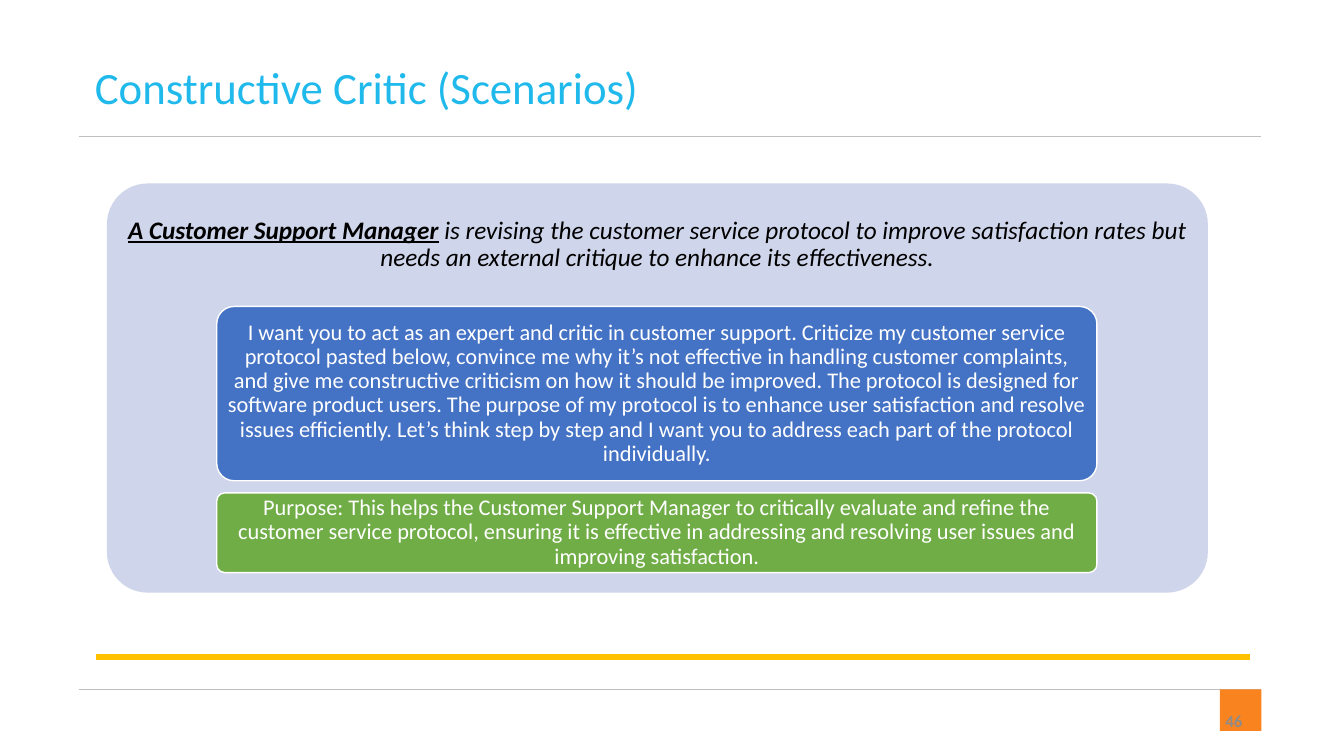
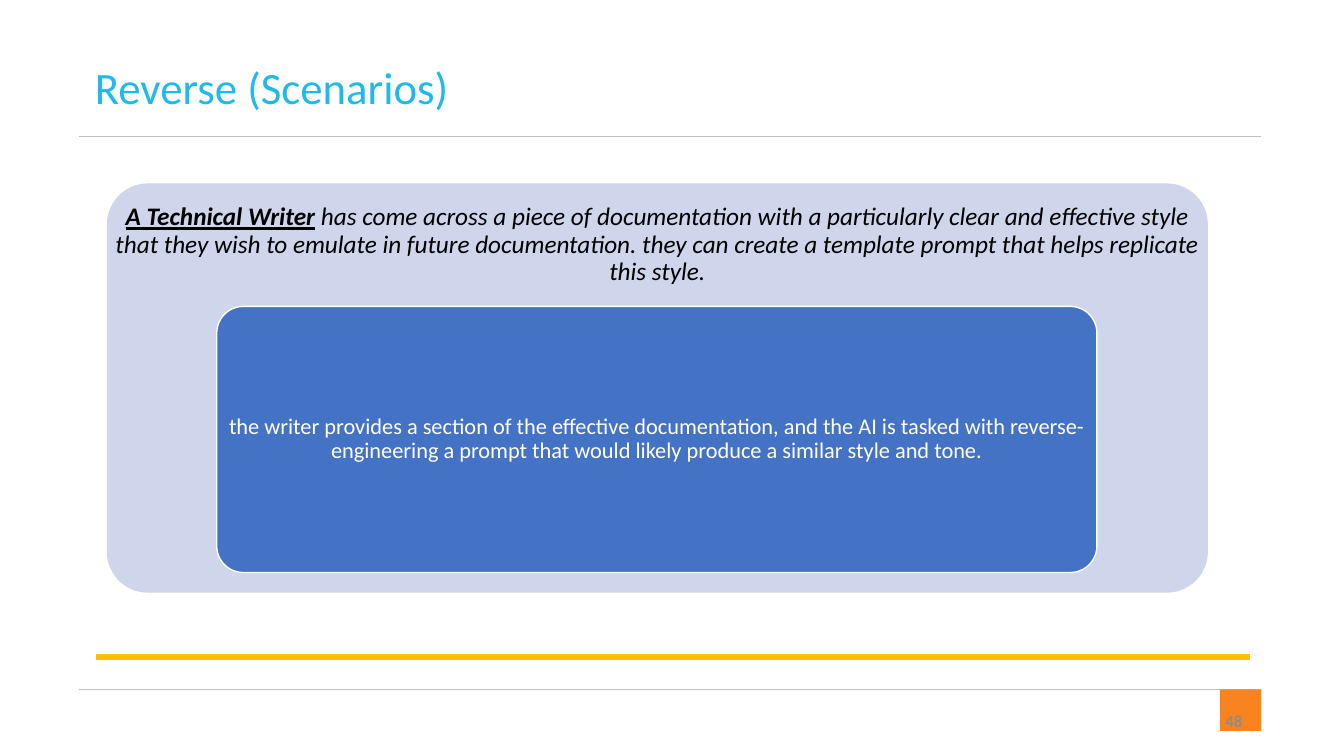
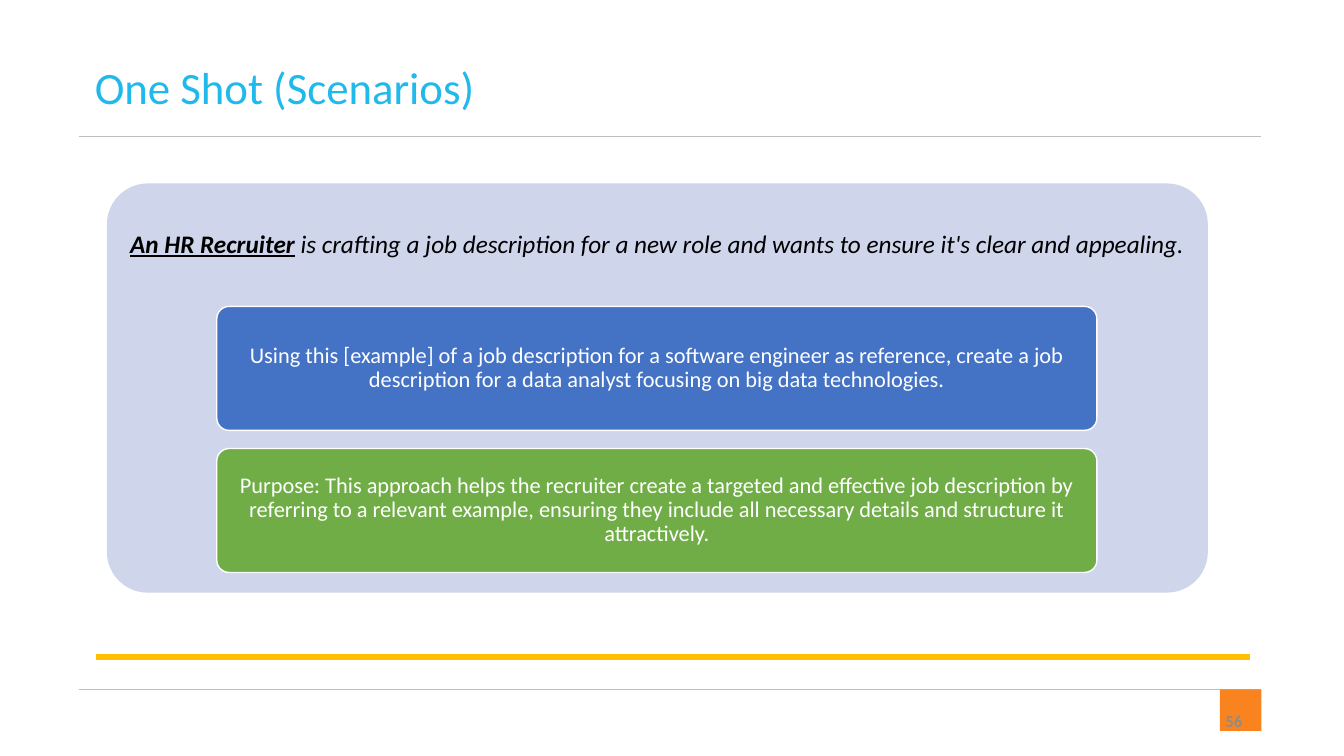
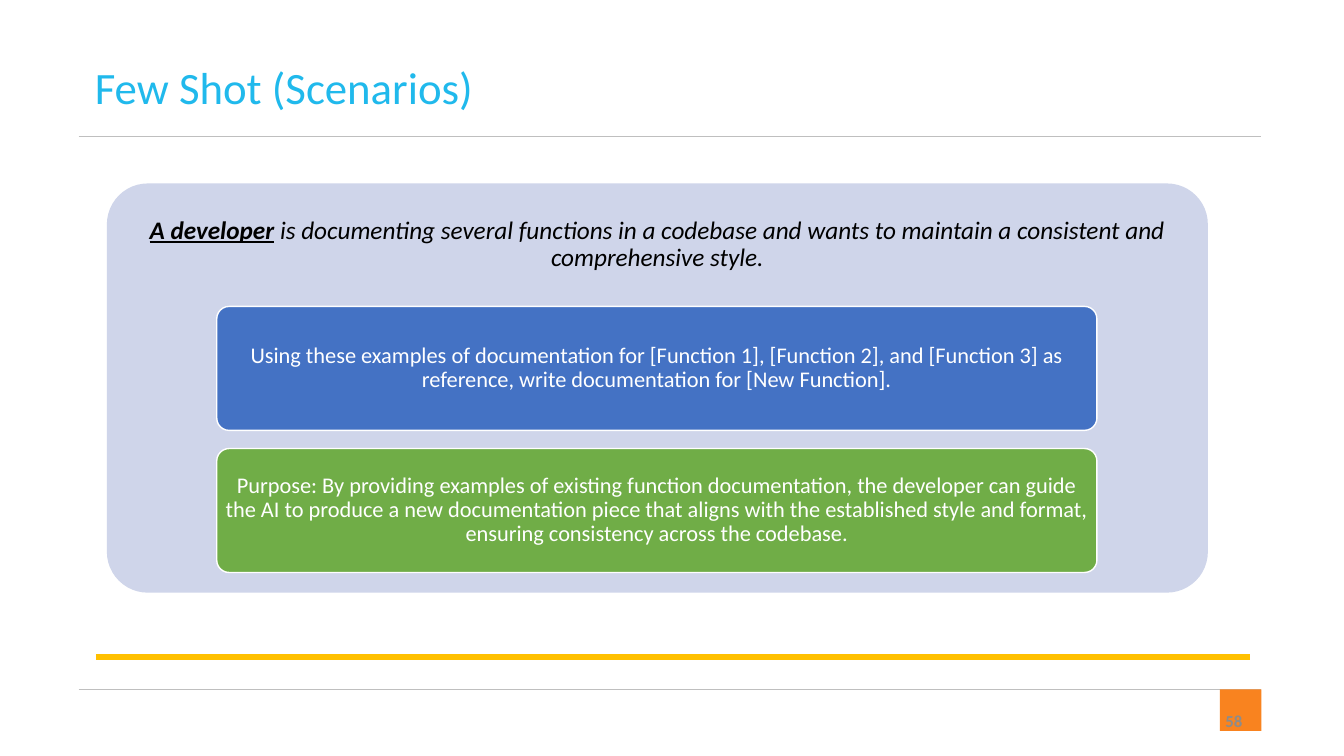
from dataclasses import dataclass

from lxml.etree import SubElement
from pptx import Presentation
from pptx.dml.color import RGBColor
from pptx.enum.shapes import MSO_CONNECTOR, MSO_SHAPE
from pptx.enum.text import MSO_ANCHOR, MSO_AUTO_SIZE, PP_ALIGN
from pptx.oxml.ns import qn
from pptx.shapes.autoshape import Shape
from pptx.slide import Slide
from pptx.util import Inches, Pt


@dataclass(frozen=True)
class Theme:
    """Colours, font and type sizes of the deck."""

    font: str = "Calibri"
    title: str = "20B9EC"
    rule: str = "BFBFBF"
    accent: str = "FFC000"
    marker: str = "F9831F"
    number: str = "8C8C8C"
    panel: str = "CFD5EA"
    cards: tuple[str, ...] = ("4472C4", "70AD47")
    white: str = "FFFFFF"
    black: str = "000000"
    title_size: float = 32
    lead_size: float = 18
    card_size: float = 16
    number_size: float = 12


@dataclass(frozen=True)
class Box:
    """A rectangle in inches."""

    left: float
    top: float
    width: float
    height: float

    def lengths(self) -> tuple[Inches, Inches, Inches, Inches]:
        """Return the four lengths that a shape takes."""
        return Inches(self.left), Inches(self.top), Inches(self.width), Inches(self.height)


@dataclass(frozen=True)
class Rule:
    """A horizontal line."""

    left: float
    right: float
    top: float
    color: str
    weight: float


@dataclass(frozen=True)
class Card:
    """One rounded card and its height in inches."""

    text: str
    height: float


@dataclass(frozen=True)
class Scenario:
    """The content of one slide."""

    number: int
    title: str
    role: str
    situation: str
    cards: tuple[Card, ...]


THEME = Theme()
TITLE_BOX = Box(0.84, 0.54, 11.97, 0.64)
NUMBER_BOX = Box(9.42, 6.95, 3, 0.4)
MARKER_BOX = Box(12.1, 6.84, 0.41, 0.41)
PANEL_BOX = Box(1.06, 1.82, 10.92, 4.06)
LEAD_BOX = Box(1.06, 1.82, 10.92, 1.22)
CARD_AREA = Box(2.15, 3.04, 8.73, 2.64)
CORNER = 0.1
RULES = (
    Rule(0.78, 12.51, 6.84, THEME.rule, 0.5),
    Rule(0.78, 12.51, 1.35, THEME.rule, 0.5),
    Rule(0.95, 12.4, 6.52, THEME.accent, 4.5),
)

SCENARIOS = (
    Scenario(
        46,
        "Constructive Critic (Scenarios)",
        "A Customer Support Manager",
        " is revising the customer service protocol to improve satisfaction rates but needs "
        "an external critique to enhance its effectiveness.",
        (
            Card(
                "I want you to act as an expert and critic in customer support. Criticize my "
                "customer service protocol pasted below, convince me why it’s not effective in "
                "handling customer complaints, and give me constructive criticism on how it "
                "should be improved. The protocol is designed for software product users. The "
                "purpose of my protocol is to enhance user satisfaction and resolve issues "
                "efficiently. Let’s think step by step and I want you to address each part of "
                "the protocol individually.",
                1.73,
            ),
            Card(
                "Purpose: This helps the Customer Support Manager to critically evaluate and "
                "refine the customer service protocol, ensuring it is effective in addressing "
                "and resolving user issues and improving satisfaction.",
                0.79,
            ),
        ),
    ),
    Scenario(
        48,
        "Reverse (Scenarios)",
        "A Technical Writer",
        " has come across a piece of documentation with a particularly clear and effective "
        "style that they wish to emulate in future documentation. they can create a template "
        "prompt that helps replicate this style.",
        (
            Card(
                "the writer provides a section of the effective documentation, and the AI is "
                "tasked with reverse-engineering a prompt that would likely produce a similar "
                "style and tone.",
                2.64,
            ),
        ),
    ),
    Scenario(
        56,
        "One Shot (Scenarios)",
        "An HR Recruiter",
        " is crafting a job description for a new role and wants to ensure it's clear and "
        "appealing.",
        (
            Card(
                "Using this [example] of a job description for a software engineer as "
                "reference, create a job description for a data analyst focusing on big data "
                "technologies.",
                1.23,
            ),
            Card(
                "Purpose: This approach helps the recruiter create a targeted and effective job "
                "description by referring to a relevant example, ensuring they include all "
                "necessary details and structure it attractively.",
                1.23,
            ),
        ),
    ),
    Scenario(
        58,
        "Few Shot (Scenarios)",
        "A developer",
        " is documenting several functions in a codebase and wants to maintain a consistent "
        "and comprehensive style.",
        (
            Card(
                "Using these examples of documentation for [Function 1], [Function 2], and "
                "[Function 3] as reference, write documentation for [New Function].",
                1.23,
            ),
            Card(
                "Purpose: By providing examples of existing function documentation, the "
                "developer can guide the AI to produce a new documentation piece that aligns "
                "with the established style and format, ensuring consistency across the "
                "codebase.",
                1.23,
            ),
        ),
    ),
)


def write_text(
    shape: Shape,
    text: str,
    *,
    size: float,
    color: str,
    lead: str = "",
    bold: bool = False,
    italic: bool = False,
    align: PP_ALIGN = PP_ALIGN.CENTER,
    anchor: MSO_ANCHOR = MSO_ANCHOR.MIDDLE,
    line_spacing: float = 1.0,
    insets: tuple[float, float] = (0.1, 0.05),
) -> None:
    """Write one paragraph, opened by an optional bold underlined lead."""
    frame = shape.text_frame
    frame.word_wrap = True
    frame.vertical_anchor = anchor
    frame.margin_left = frame.margin_right = Inches(insets[0])
    frame.margin_top = frame.margin_bottom = Inches(insets[1])
    paragraph = frame.paragraphs[0]
    paragraph.alignment = align
    paragraph.line_spacing = line_spacing
    for content, is_lead in ((lead, True), (text, False)):
        if content:
            run = paragraph.add_run()
            run.text = content
            run.font.name = THEME.font
            run.font.size = Pt(size)
            run.font.color.rgb = RGBColor.from_string(color)
            run.font.bold = bold or is_lead
            run.font.italic = italic
            run.font.underline = is_lead


def add_block(
    slide: Slide, kind: MSO_SHAPE, box: Box, fill: str, outline: str | None = None
) -> Shape:
    """Add a filled shape without shadow, rounded where its kind allows."""
    shape = slide.shapes.add_shape(kind, *box.lengths())
    shape.shadow.inherit = False
    shape.fill.solid()
    shape.fill.fore_color.rgb = RGBColor.from_string(fill)
    if kind == MSO_SHAPE.ROUNDED_RECTANGLE:
        shape.adjustments[0] = CORNER
    if outline:
        shape.line.color.rgb = RGBColor.from_string(outline)
        shape.line.width = Pt(1)
    else:
        shape.line.fill.background()
    return shape


def add_rule(slide: Slide, rule: Rule) -> None:
    """Draw a horizontal line without shadow."""
    top = Inches(rule.top)
    connector = slide.shapes.add_connector(
        MSO_CONNECTOR.STRAIGHT, Inches(rule.left), top, Inches(rule.right), top
    )
    connector.line.color.rgb = RGBColor.from_string(rule.color)
    connector.line.width = Pt(rule.weight)
    SubElement(connector.element.spPr, qn("a:effectLst"))


def add_frame(slide: Slide, title: str, number: int) -> None:
    """Add the title, rules, marker and number that every slide carries."""
    for rule in RULES:
        add_rule(slide, rule)
    add_block(slide, MSO_SHAPE.RECTANGLE, MARKER_BOX, THEME.marker)
    write_text(
        slide.shapes.add_textbox(*NUMBER_BOX.lengths()),
        str(number),
        size=THEME.number_size,
        color=THEME.number,
        bold=True,
        align=PP_ALIGN.RIGHT,
    )
    heading = slide.shapes.title
    heading.left, heading.top, heading.width, heading.height = TITLE_BOX.lengths()
    heading.text_frame.auto_size = MSO_AUTO_SIZE.SHAPE_TO_FIT_TEXT
    write_text(
        heading,
        title,
        size=THEME.title_size,
        color=THEME.title,
        align=PP_ALIGN.LEFT,
        anchor=MSO_ANCHOR.TOP,
    )


def add_cards(slide: Slide, cards: tuple[Card, ...]) -> None:
    """Stack the cards so that equal gaps fill the card area."""
    spare = CARD_AREA.height - sum(card.height for card in cards)
    gap = spare / max(len(cards) - 1, 1)
    top = CARD_AREA.top
    for card, fill in zip(cards, THEME.cards):
        box = Box(CARD_AREA.left, top, CARD_AREA.width, card.height)
        shape = add_block(slide, MSO_SHAPE.ROUNDED_RECTANGLE, box, fill, THEME.white)
        write_text(
            shape,
            card.text,
            size=THEME.card_size,
            color=THEME.white,
            line_spacing=0.9,
            insets=(0.04, 0.03),
        )
        top += card.height + gap


def add_scenario(slide: Slide, scenario: Scenario) -> None:
    """Build one scenario slide."""
    add_frame(slide, scenario.title, scenario.number)
    add_block(slide, MSO_SHAPE.ROUNDED_RECTANGLE, PANEL_BOX, THEME.panel)
    write_text(
        slide.shapes.add_textbox(*LEAD_BOX.lengths()),
        scenario.situation,
        lead=scenario.role,
        size=THEME.lead_size,
        color=THEME.black,
        italic=True,
        line_spacing=0.9,
        insets=(0.07, 0.07),
    )
    add_cards(slide, scenario.cards)


def main() -> None:
    """Build and save the presentation."""
    presentation = Presentation()
    presentation.slide_width = Inches(13.33)
    presentation.slide_height = Inches(7.5)
    title_only = presentation.slide_layouts.get_by_name("Title Only")
    for scenario in SCENARIOS:
        add_scenario(presentation.slides.add_slide(title_only), scenario)
    presentation.save("out.pptx")


if __name__ == "__main__":
    main()
